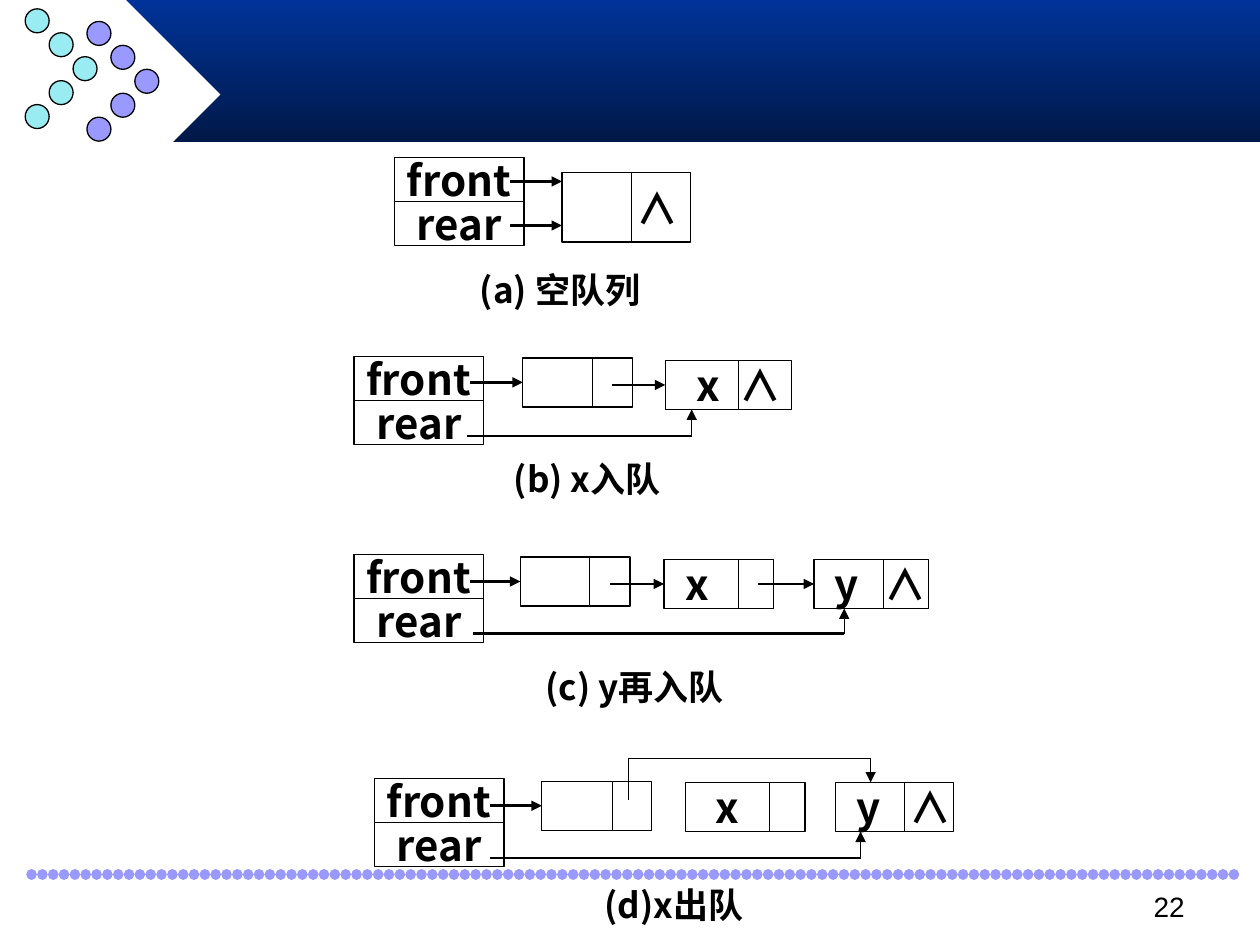
import lxml.etree
import pptx
import pptx.dml.color
import pptx.enum.shapes
import pptx.enum.text
import pptx.oxml
import pptx.oxml.ns
import pptx.util

Inches = pptx.util.Inches
Pt = pptx.util.Pt
color = pptx.dml.color.RGBColor.from_string
SHAPE = pptx.enum.shapes.MSO_SHAPE
ALIGN = pptx.enum.text.PP_ALIGN
qn = pptx.oxml.ns.qn
CJK = "Noto Sans CJK SC"

prs = pptx.Presentation()
prs.slide_width = Inches(10)
prs.slide_height = Inches(7.5)
slide = prs.slides.add_slide(prs.slide_layouts[6])
shapes = slide.shapes


def write(frame, text, size, before, left=0.1, tab=None):
    """Set bold black text; left is the inset and tab the one tab stop, in inches."""
    frame.word_wrap = True
    frame.vertical_anchor = pptx.enum.text.MSO_ANCHOR.MIDDLE
    frame.margin_left = Inches(left)
    frame.margin_right = 0
    paragraph = frame.paragraphs[0]
    paragraph.alignment = ALIGN.LEFT
    paragraph.space_before = Pt(before)
    if tab:
        stops = lxml.etree.SubElement(paragraph._p.get_or_add_pPr(), qn("a:tabLst"))
        lxml.etree.SubElement(stops, qn("a:tab"), pos=str(Inches(tab)), algn="l")
    run = paragraph.add_run()
    run.text = text
    run.font.size = Pt(size)
    run.font.bold = True
    run.font.name = CJK
    run.font.color.rgb = color("000000")
    lxml.etree.SubElement(run._r.get_or_add_rPr(), qn("a:ea"), typeface=CJK)


def add_line(x1, y1, x2, y2, width=0.75, arrow=False, hue="000000"):
    line = shapes.add_connector(
        pptx.enum.shapes.MSO_CONNECTOR.STRAIGHT, Inches(x1), Inches(y1), Inches(x2), Inches(y2))
    line.line.color.rgb = color(hue)
    line.line.width = Pt(width)
    if arrow:
        lxml.etree.SubElement(line.line._get_or_add_ln(), qn("a:tailEnd"), type="triangle")
    lxml.etree.SubElement(line._element.spPr, qn("a:effectLst"))
    return line


# Banner
banner = shapes.add_shape(SHAPE.RECTANGLE, Inches(1), 0, Inches(9), Inches(1.13))
banner.shadow.inherit = False
banner.line.fill.background()
banner.fill.gradient()
banner.fill.gradient_angle = 270
for stop, hue in zip(banner.fill.gradient_stops, ("003399", "001847")):
    stop.color.rgb = color(hue)

diamond = shapes.add_shape(SHAPE.DIAMOND, Inches(0.25), 0, Inches(1.5), Inches(1.5))
diamond.shadow.inherit = False
diamond.line.fill.background()
diamond.fill.solid()
diamond.fill.fore_color.rgb = color("FFFFFF")

# Two chevrons of five dots
for left, top, hue in ((0.69, 0.17, "9999FF"), (0.2, 0.07, "98ECF2")):
    for row, column in enumerate((0, 1, 2, 1, 0)):
        dot = shapes.add_shape(SHAPE.OVAL, Inches(left + 0.19 * column),
                               Inches(top + 0.19 * row), Inches(0.19), Inches(0.19))
        dot.shadow.inherit = False
        dot.fill.solid()
        dot.fill.fore_color.rgb = color(hue)
        dot.line.color.rgb = color("000000")
        dot.line.width = Pt(0.75)

# Footer: a rule of round dots that nearly touch
footer_rule = add_line(0.25, 6.94, 9.83, 6.94, 6, hue="9999FF")
rule_line = footer_rule.line._get_or_add_ln()
rule_line.set("cap", "rnd")
dashes = lxml.etree.SubElement(rule_line, qn("a:custDash"))
lxml.etree.SubElement(dashes, qn("a:ds"), d="100000", sp="3000")

number_box = shapes.add_textbox(Inches(7.17), Inches(7.01), Inches(2.33), Inches(0.52))
number_box.text_frame.word_wrap = True
number_line = number_box.text_frame.paragraphs[0]
number_line.alignment = ALIGN.RIGHT
number = number_line.add_run()
number.text = "22"
number.font.size = Pt(16)
number.font.name = "Arial"
number.font.color.rgb = color("000000")

# Each queue: caption (text, x, y, width), pointer table (x, y), and
# nodes (x, y, width, height, divider x, text, text inset, tab stop)
queues = [
    (("(a) 空队列", 3.71, 2.08, 1.55), (3.13, 1.25),
     [(4.46, 1.37, 1.02, 0.55, 5.01, "∧", 0.59, None)]),
    (("(b) x入队", 3.98, 3.58, 1.5), (2.81, 2.83),
     [(4.15, 2.84, 0.87, 0.39, 4.7, "", 0, None),
      (5.28, 2.86, 1, 0.39, 5.86, "x\t∧", 0.25, 0.34)]),
    (("(c) y再入队", 4.23, 5.23, 1.7), (2.81, 4.4),
     [(4.13, 4.42, 0.87, 0.39, 4.68, "", 0, None),
      (5.27, 4.44, 0.87, 0.39, 5.86, "x", 0.17, None),
      (6.46, 4.44, 0.91, 0.39, 7.01, "y\t∧", 0.16, 0.4)]),
    (("(d)x出队", 4.7, 6.96, 1.49), (2.97, 6.18),
     [(4.3, 6.2, 0.87, 0.39, 4.86, "", 0, None),
      (5.44, 6.21, 0.95, 0.39, 6.11, "x", 0.24, None),
      (6.63, 6.21, 0.94, 0.39, 7.18, "y\t∧", 0.17, 0.42)]),
]

for (caption, caption_x, caption_y, caption_w), (table_x, table_y), nodes in queues:
    caption_box = shapes.add_textbox(
        Inches(caption_x), Inches(caption_y), Inches(caption_w), Inches(0.43))
    write(caption_box.text_frame, caption, 20, 5)

    pointers = [(table_x, table_y, 1.03, 0.35, None, "front", 0.1, None),
                (table_x, table_y + 0.35, 1.03, 0.35, None, "rear", 0.18, None)]
    cells = []
    for x, y, w, h, divider, text, inset, tab in pointers + nodes:
        cell = shapes.add_shape(SHAPE.RECTANGLE, Inches(x), Inches(y), Inches(w), Inches(h))
        cell.shadow.inherit = False
        cell.fill.background()
        cell.line.color.rgb = color("000000")
        cell.line.width = Pt(0.75)
        if text:
            write(cell.text_frame, text, 24, 6, inset, tab)
        if divider:
            add_line(divider, y, divider, y + h)
        cells.append(cell)

    # Arrows into the left side of a node: from front, then from node to node
    if len(nodes) == 1:
        for y in (1.44, 1.79):
            add_line(4.05, y, nodes[0][0], y, 1.5, arrow=True)
        continue
    starts = [table_x + 0.92]
    if not caption.startswith("(d)"):
        starts += [node[4] + 0.16 for node in nodes[:-1]]
    for start, node, cell in zip(starts, nodes, cells[2:]):
        middle = node[1] + node[3] / 2
        add_line(start, middle, node[0], middle, 1.5, arrow=True).end_connect(cell, 1)

# Rear pointers: along below the nodes, then up into the last one
for start, end, y, tip in ((3.71, 5.49, 3.46, 3.25), (3.75, 6.7, 5.03, 4.83),
                           (3.89, 6.83, 6.81, 6.6)):
    add_line(start, y, end, y, 1.5)
    add_line(end, y, end, tip, arrow=True)

# Link that bypasses the removed node
add_line(4.99, 6.35, 4.99, 6.02)
add_line(4.99, 6.02, 6.91, 6.02)
add_line(6.91, 6.02, 6.91, 6.21, arrow=True)

prs.save("out.pptx")
